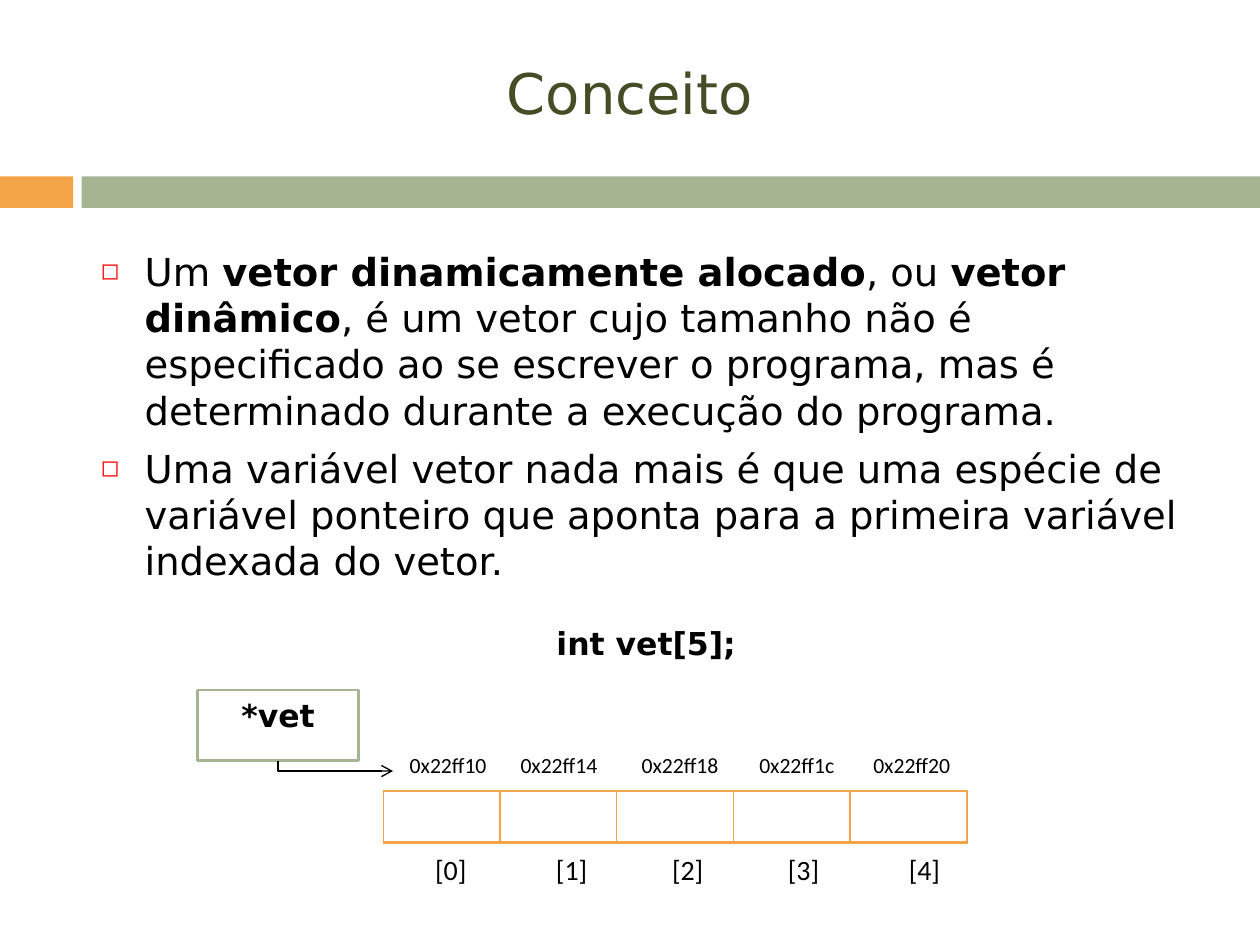
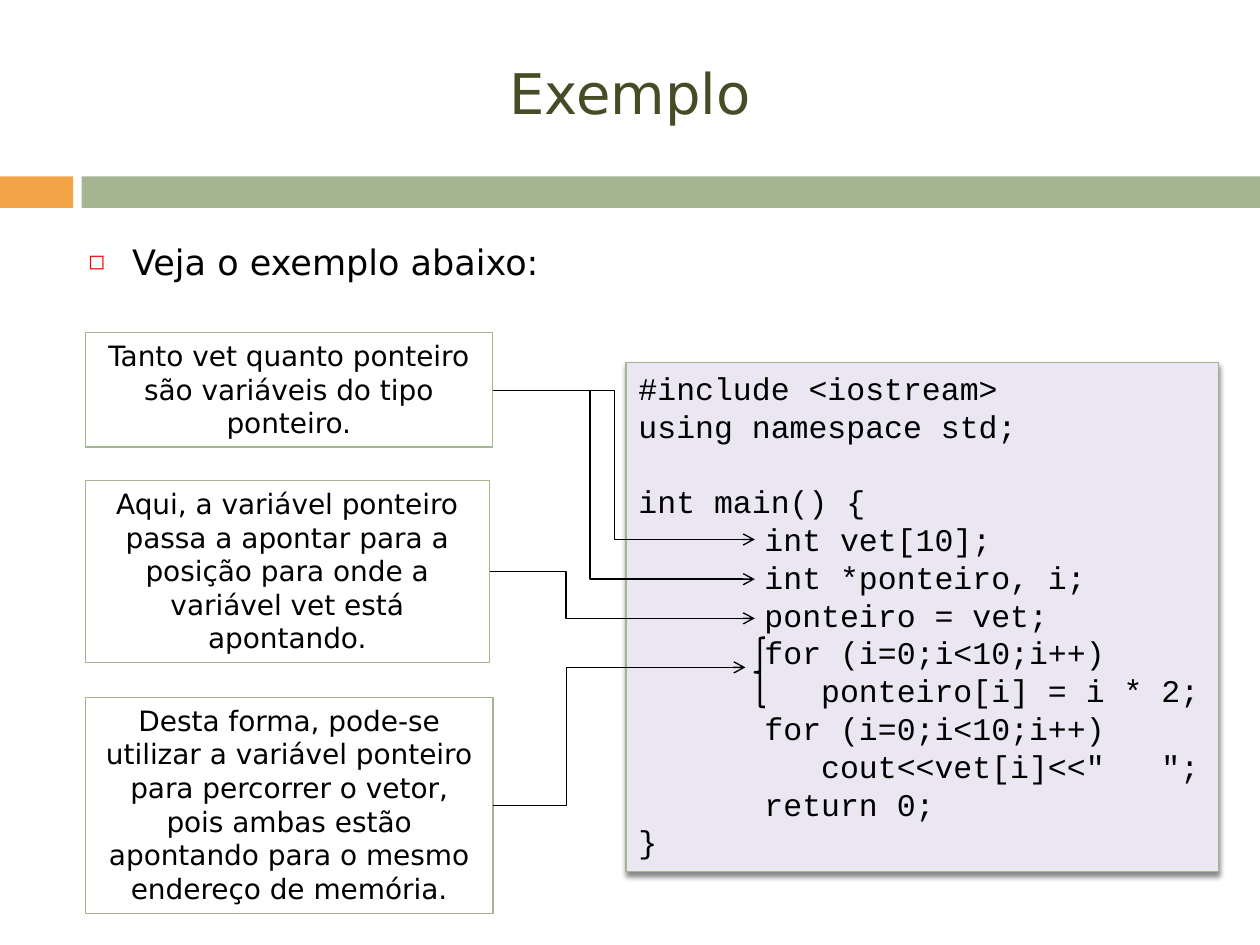
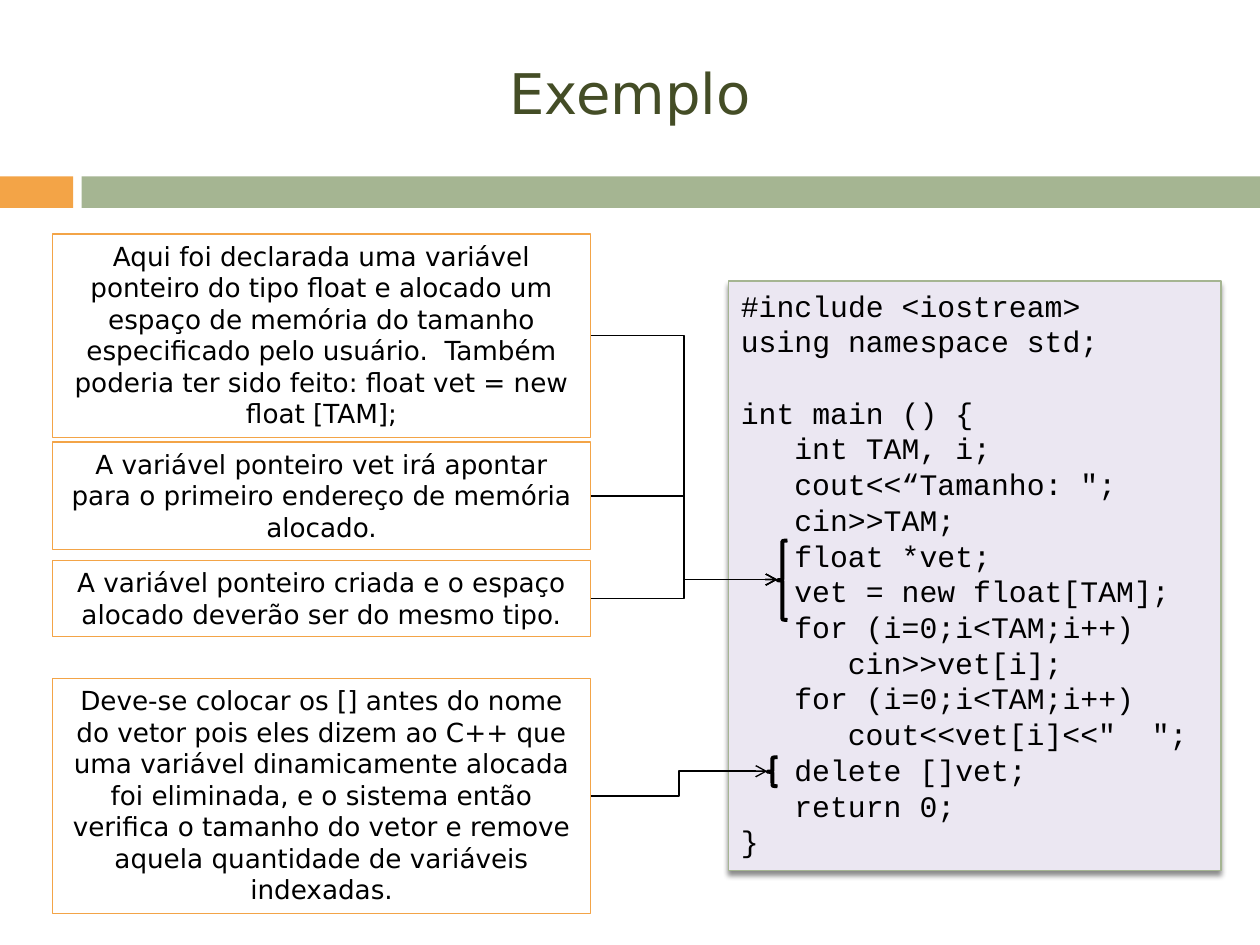
from dataclasses import dataclass
from typing import NamedTuple

from lxml.etree import SubElement
from pptx import Presentation
from pptx.dml.color import RGBColor
from pptx.enum.shapes import MSO_CONNECTOR, MSO_SHAPE
from pptx.enum.text import MSO_ANCHOR, PP_ALIGN
from pptx.oxml.ns import qn
from pptx.util import Pt

ORANGE, GREEN, OLIVE = "F3A447", "A5B592", "444D26"
LILAC, BLACK, RED = "EBE7F2", "000000", "FF0000"
SANS, MONO, LABEL = "DejaVu Sans", "Courier New", "Calibri"
LEFT, MID, RIGHT = PP_ALIGN.LEFT, PP_ALIGN.CENTER, PP_ALIGN.RIGHT


class Box(NamedTuple):
    x: float
    y: float
    w: float
    h: float


class Run(NamedTuple):
    text: str
    bold: bool = False


class Row(NamedTuple):
    text: str
    level: int = 0
    gap: bool = False


class Link(NamedTuple):
    x1: float
    y1: float
    x2: float
    y2: float
    bend: float = 0.5


class Card(NamedTuple):
    box: Box
    text: str


@dataclass(frozen=True)
class Style:
    size: float
    font: str = SANS
    color: str = BLACK
    align: PP_ALIGN = LEFT
    before: float = 0
    lines: float | None = None


@dataclass(frozen=True)
class Code:
    box: Box
    size: float
    steps: tuple[float, ...]
    rows: tuple[Row, ...]


TITLE = Style(32, color=OLIVE, align=MID)
LEAD = Style(18, align=MID, before=5.8)
INDEX = Style(16, LABEL, align=RIGHT, before=5.8)
CELL = Style(12.4, LABEL, align=RIGHT, before=5.8, lines=0.8)


def paint(target, color: str) -> None:
    target.solid()
    target.fore_color.rgb = RGBColor.from_string(color)


def node(parent, tag: str, **attrs: str):
    return SubElement(parent, qn(tag), **attrs)


def place(box: Box) -> list[int]:
    return [Pt(side) for side in box]


def write(para, runs: list[Run], style: Style) -> None:
    para.alignment = style.align
    para.space_before = Pt(style.before)
    if style.lines:
        para.line_spacing = style.lines
    for text, bold in runs:
        run = para.add_run()
        run.text = text
        run.font.size = Pt(style.size)
        run.font.name = style.font
        run.font.bold = bold
        paint(run.font.fill, style.color)


def grow(frame, count: int) -> list:
    frame.word_wrap = True
    return [frame.paragraphs[0]] + [frame.add_paragraph() for _ in range(count - 1)]


def label(slide, box: Box, run: Run, style: Style, anchor=MSO_ANCHOR.TOP) -> None:
    frame = slide.shapes.add_textbox(*place(box)).text_frame
    frame.vertical_anchor = anchor
    write(grow(frame, 1)[0], [run], style)


def block(slide, box: Box, fill: str = "", line: str = "", width: float = 0.75,
          kind=MSO_SHAPE.RECTANGLE):
    shape = slide.shapes.add_shape(kind, *place(box))
    shape.shadow.inherit = False
    shape.text_frame.vertical_anchor = MSO_ANCHOR.TOP
    if fill:
        paint(shape.fill, fill)
    else:
        shape.fill.background()
    if line:
        paint(shape.line.fill, line)
        shape.line.width = Pt(width)
    else:
        shape.line.fill.background()
    return shape


def note(slide, card: Card, style: Style, line: str, width: float = 0.75,
         bold: bool = False) -> None:
    shape = block(slide, card.box, line=line, width=width)
    write(grow(shape.text_frame, 1)[0], [Run(card.text, bold)], style)


def brace(slide, box: Box, width: float) -> None:
    block(slide, box, line=BLACK, width=width, kind=MSO_SHAPE.LEFT_BRACE)


def join(slide, link: Link) -> None:
    ends = [Pt(side) for side in link[:4]]
    line = slide.shapes.add_connector(MSO_CONNECTOR.ELBOW, *ends)
    paint(line.line.fill, BLACK)
    line.line.width = Pt(0.79)
    props = line._element.spPr
    guides = props.find(qn("a:prstGeom")).get_or_add_avLst()
    node(guides, "a:gd", name="adj1", fmla=f"val {round(link.bend * 100000)}")
    node(props.find(qn("a:ln")), "a:tailEnd", type="arrow")
    node(props, "a:effectLst")


def listing(slide, code: Code) -> None:
    shape = block(slide, code.box, LILAC, GREEN, 0.79)
    effects = shape._element.spPr.find(qn("a:effectLst"))
    shade = node(effects, "a:outerShdw", blurRad=str(Pt(3)), dist=str(Pt(2.4)),
                 dir="5400000", rotWithShape="0")
    node(node(shade, "a:srgbClr", val=BLACK), "a:alpha", val="45000")
    for para, row in zip(grow(shape.text_frame, len(code.rows)), code.rows):
        before = 1.2 * code.size if row.gap else 0
        write(para, [Run(row.text)], Style(code.size, MONO, before=before))
        para._p.get_or_add_pPr().set("marL", str(Pt(code.steps[row.level])))


def points(slide, box: Box, items: list[list[Run]], size: float) -> None:
    frame = slide.shapes.add_textbox(*place(box)).text_frame
    for para, runs in zip(grow(frame, len(items)), items):
        write(para, runs, Style(size, before=7))
        props = para._p.get_or_add_pPr()
        props.set("marL", str(Pt(25.2)))
        props.set("indent", str(Pt(-25.2)))
        node(node(props, "a:buClr"), "a:srgbClr", val=RED)
        node(props, "a:buSzPct", val="60000")
        node(props, "a:buFont", typeface=SANS)
        node(props, "a:buChar", char="◻")


def grid(slide, box: Box, count: int) -> None:
    table = slide.shapes.add_table(1, count, *place(box)).table
    table.first_row = table.horz_banding = False
    for cell in table.iter_cells():
        props = cell._tc.get_or_add_tcPr()
        for tag, width in (("a:lnL", 1), ("a:lnR", 1), ("a:lnT", 1), ("a:lnB", 2)):
            edge = node(props, tag, w=str(Pt(width)))
            node(node(edge, "a:solidFill"), "a:srgbClr", val=ORANGE)
        cell.fill.background()


def start(deck, title: str):
    slide = deck.slides.add_slide(deck.slide_layouts[6])
    block(slide, Box(0, 100.8, 41.8, 18), ORANGE)
    block(slide, Box(46.6, 100.8, 673.4, 18), GREEN)
    label(slide, Box(36, 27.4, 648, 50.4), Run(title), TITLE, MSO_ANCHOR.MIDDLE)
    return slide


def concept(deck) -> None:
    slide = start(deck, "Conceito")
    points(slide, Box(50.4, 138.2, 646.6, 196.6), [
        [Run("Um "), Run("vetor dinamicamente alocado", True), Run(", ou "),
         Run("vetor dinâmico", True),
         Run(", é um vetor cujo tamanho não é especificado ao se escrever o "
             "programa, mas é determinado durante a execução do programa.")],
        [Run("Uma variável vetor nada mais é que uma espécie de variável ponteiro "
             "que aponta para a primeira variável indexada do vetor.")],
    ], 22)
    label(slide, Box(91.4, 352.8, 555.8, 33.1), Run("int vet[5];", True), LEAD)
    grid(slide, Box(219, 452, 333.5, 29.5), 5)
    note(slide, Card(Box(112.8, 394.4, 92.2, 40.3), "*vet"), LEAD, GREEN, 1.5, True)
    join(slide, Link(158.8, 434.9, 224.6, 440.6, 0))
    for spot, left in enumerate((227.5, 296.6, 362.9, 429.1, 498.2)):
        label(slide, Box(left, 483.8, 46.1, 28.8), Run(f"[{spot}]"), INDEX)
    cells = (("10", 218.9), ("14", 282.2), ("18", 351.4), ("1c", 417.6), ("20", 483.8))
    for tail, left in cells:
        label(slide, Box(left, 429.1, 66.2, 28.8), Run(f"0x22ff{tail}"), CELL)


def sample(deck, code: Code, cards: list[Card], size: float, line: str,
           braces: list[Box], width: float, links: list[Link]):
    slide = start(deck, "Exemplo")
    listing(slide, code)
    for card in cards:
        note(slide, card, Style(size, align=MID), line)
    for box in braces:
        brace(slide, box, width)
    for link in links:
        join(slide, link)
    return slide


def static(deck) -> None:
    code = Code(Box(357.8, 207.2, 338.4, 290.9), 18, (0, 72, 104.4), (
        Row("#include <iostream>"),
        Row("using namespace std;"),
        Row("int main() {", gap=True),
        Row("int vet[10];", 1),
        Row("int *ponteiro, i;", 1),
        Row("ponteiro = vet;", 1),
        Row("for (i=0;i<10;i++)", 1),
        Row("ponteiro[i] = i * 2;", 2),
        Row("for (i=0;i<10;i++)", 1),
        Row('cout<<vet[i]<<"   ";', 2),
        Row("return 0;", 1),
        Row("}"),
    ))
    cards = [
        Card(Box(48.8, 190, 232.6, 65.5),
             "Tanto vet quanto ponteiro são variáveis do tipo ponteiro."),
        Card(Box(48.8, 274.5, 230.8, 104),
             "Aqui, a variável ponteiro passa a apontar para a posição para onde a "
             "variável vet está apontando."),
        Card(Box(48.8, 398.4, 233, 123.6),
             "Desta forma, pode-se utilizar a variável ponteiro para percorrer o "
             "vetor, pois ambas estão apontando para o mesmo endereço de memória."),
    ]
    links = [
        Link(281.5, 223.1, 431.3, 331, 0.371),
        Link(281.5, 223.1, 431.3, 308.3, 0.464),
        Link(279.8, 326.7, 431.3, 353.4, 0.288),
        Link(282, 460.2, 426, 381.4, 0.291),
    ]
    slide = sample(deck, code, cards, 16, GREEN, [Box(431.3, 364.4, 5.8, 39.6)],
                   1.5, links)
    points(slide, Box(43.2, 133.9, 337.7, 39.6), [[Run("Veja o exemplo abaixo:")]], 20)


def dynamic(deck) -> None:
    code = Code(Box(416.2, 160.6, 281.5, 337), 17, (0, 30.6, 61.2), (
        Row("#include <iostream>"),
        Row("using namespace std;"),
        Row("int main () {", gap=True),
        Row("int TAM, i;", 1),
        Row('cout<<“Tamanho: ";', 1),
        Row("cin>>TAM;", 1),
        Row("float *vet;", 1),
        Row("vet = new float[TAM];", 1),
        Row("for (i=0;i<TAM;i++)", 1),
        Row("cin>>vet[i];", 2),
        Row("for (i=0;i<TAM;i++)", 1),
        Row('cout<<vet[i]<<"  ";', 2),
        Row("delete []vet;", 1),
        Row("return 0;", 1),
        Row("}"),
    ))
    notes = (
        (133.7, 116.4,
         "Aqui foi declarada uma variável ponteiro do tipo float e alocado um espaço "
         "de memória do tamanho especificado pelo usuário.  Também poderia ter sido "
         "feito: float vet = new float [TAM];"),
        (252.6, 61.6,
         "A variável ponteiro vet irá apontar para o primeiro endereço de memória "
         "alocado."),
        (320.2, 43.6,
         "A variável ponteiro criada e o espaço alocado deverão ser do mesmo tipo."),
        (387.6, 134.4,
         "Deve-se colocar os [] antes do nome do vetor pois eles dizem ao C++ que uma "
         "variável dinamicamente alocada foi eliminada, e o sistema então verifica o "
         "tamanho do vetor e remove aquela quantidade de variáveis indexadas."),
    )
    cards = [Card(Box(30, top, 307.6, high), text) for top, high, text in notes]
    links = [Link(337.6, top, 444.2, 331.2) for top in (191.9, 283.4, 342)]
    links.append(Link(337.6, 454.8, 438.5, 440.7))
    braces = [Box(444.2, 308.9, 5.8, 45.4), Box(438.5, 432.7, 5.8, 16.6)]
    sample(deck, code, cards, 15, ORANGE, braces, 2.25, links)


def main() -> None:
    deck = Presentation()
    deck.slide_width, deck.slide_height = Pt(720), Pt(540)
    concept(deck)
    static(deck)
    dynamic(deck)
    deck.save("out.pptx")


if __name__ == "__main__":
    main()
